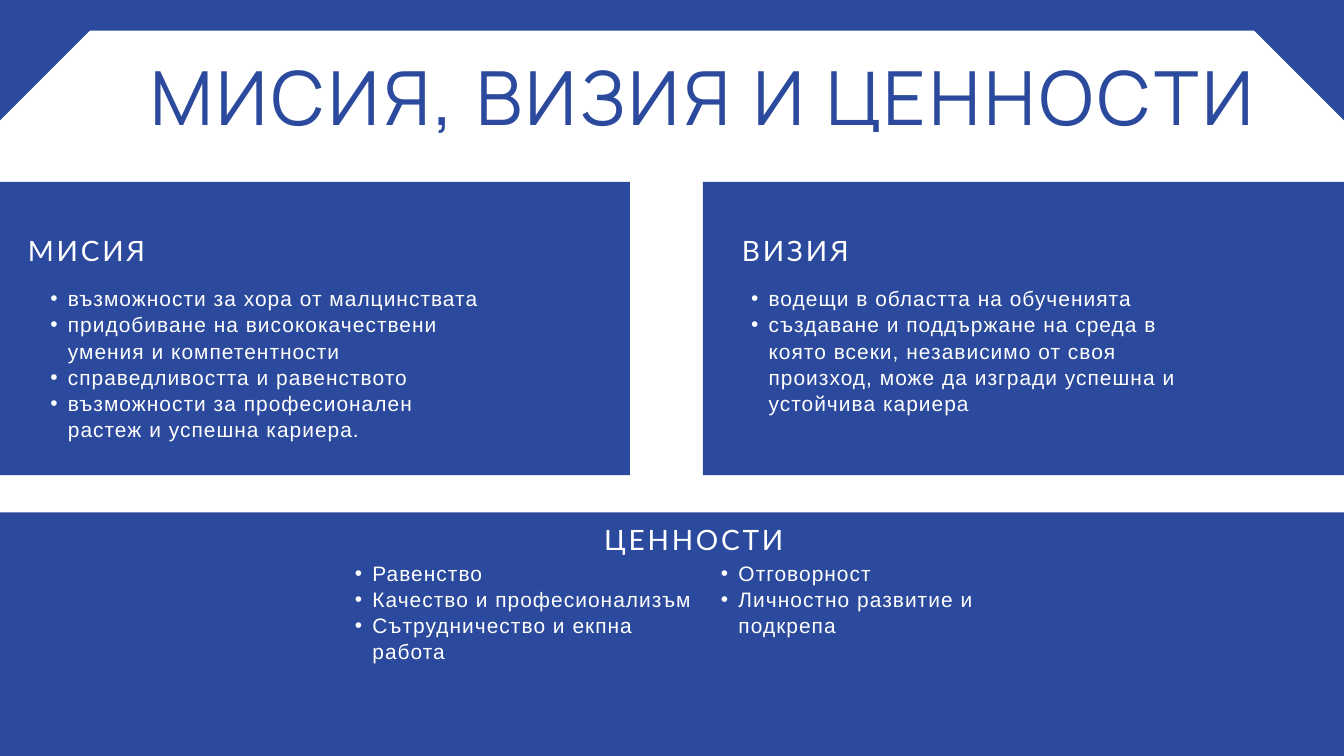
from dataclasses import dataclass

from lxml import etree
from pptx import Presentation
from pptx import util as u
from pptx.dml.color import RGBColor
from pptx.enum import shapes, text
from pptx.oxml.ns import qn

PX = 9525
WIDTH, HEIGHT = 1920, 1080


@dataclass(frozen=True)
class Style:
    name: str
    size: float
    color: RGBColor
    line: int
    tracking: int  # hundredths of a point


class Theme:
    blue = RGBColor(0x2B, 0x4A, 0x9D)
    white = RGBColor(0xFF, 0xFF, 0xFF)
    title = Style("Manrope", 80, blue, 84, 400)
    heading = Style("Lato", 30, white, 42, 300)
    body = Style("Arial", 22.4, white, 28, 110)
    indent, hanging = 51, -25


def px(*lengths):
    return [u.Emu(length * PX) for length in lengths]


def add_block(page, frame, kind=shapes.MSO_SHAPE.RECTANGLE, rotation=0):
    block = page.shapes.add_shape(kind, *px(*frame))
    block.shadow.inherit = False
    block.fill.solid()
    block.fill.fore_color.rgb = Theme.blue
    block.line.fill.background()
    block.rotation = rotation


def add_bullet(para):
    properties = para._p.get_or_add_pPr()
    properties.set("marL", str(Theme.indent * PX))
    properties.set("indent", str(Theme.hanging * PX))
    etree.SubElement(properties, qn("a:buFont"), typeface="Arial")
    etree.SubElement(properties, qn("a:buChar"), char="•")


def add_text(page, frame, lines, style, align=text.PP_ALIGN.LEFT, bullets=False):
    box = page.shapes.add_textbox(*px(*frame)).text_frame
    box_format = {
        "margin_left": 0, "margin_top": 0, "margin_right": 0, "margin_bottom": 0,
        "word_wrap": True, "auto_size": text.MSO_AUTO_SIZE.SHAPE_TO_FIT_TEXT,
    }
    for key, value in box_format.items():
        setattr(box, key, value)
    for index, line in enumerate(lines):
        para = box.add_paragraph() if index else box.paragraphs[0]
        if bullets:
            add_bullet(para)
            para.level = 1
        para.alignment = align
        para.line_spacing = u.Pt(style.line)
        span = para.add_run()
        span.text = line
        for key, value in {"name": style.name, "size": u.Pt(style.size)}.items():
            setattr(span.font, key, value)
        span.font.color.rgb = style.color
        span._r.get_or_add_rPr().set("spc", str(style.tracking))


def add_header(page):
    corner = 172
    add_block(page, (0, 0, WIDTH, 44))
    for left, rotation in ((0, 90), (WIDTH - corner, 180)):
        add_block(page, (left, 0, corner, corner),
                  shapes.MSO_SHAPE.RIGHT_TRIANGLE, rotation)
    add_text(page, (88, 89, 1832, 237), ["МИСИЯ, ВИЗИЯ И ЦЕННОСТИ"],
             Theme.title, text.PP_ALIGN.CENTER)


def main():
    deck = Presentation()
    deck.slide_width, deck.slide_height = px(WIDTH, HEIGHT)
    page = deck.slides.add_slide(deck.slide_layouts[6])

    panels = [(0, 260, 900, 419), (1004, 260, 916, 419), (0, 732, WIDTH, 348)]
    headings = [
        ((40, 325, 859, 55), "МИСИЯ"),
        ((1060, 325, 859, 55), "ВИЗИЯ"),
        ((863, 738, 282, 55), "ЦЕННОСТИ"),
    ]
    lists = [
        ((46, 407, 642, 297), [
            "възможности за хора от малцинствата",
            "придобиване на висококачествени умения и компетентности",
            "справедливостта и равенството",
            "възможности за професионален растеж и успешна кариера.",
        ]),
        ((1047, 407, 642, 223), [
            "водещи в областта на обученията",
            "създаване и поддържане на среда в която всеки, независимо от своя "
            "произход, може да изгради успешна и устойчива кариера",
        ]),
        ((481, 799, 522, 297), [
            "Равенство",
            "Качество и професионализъм",
            "Сътрудничество и екпна работа",
        ]),
        ((1004, 799, 522, 149), ["Отговорност", "Личностно развитие и подкрепа"]),
    ]

    add_header(page)
    for frame in panels:
        add_block(page, frame)
    for frame, heading in headings:
        add_text(page, frame, [heading], Theme.heading)
    for frame, lines in lists:
        add_text(page, frame, lines, Theme.body, bullets=True)
    deck.save("out.pptx")


if __name__ == "__main__":
    main()
